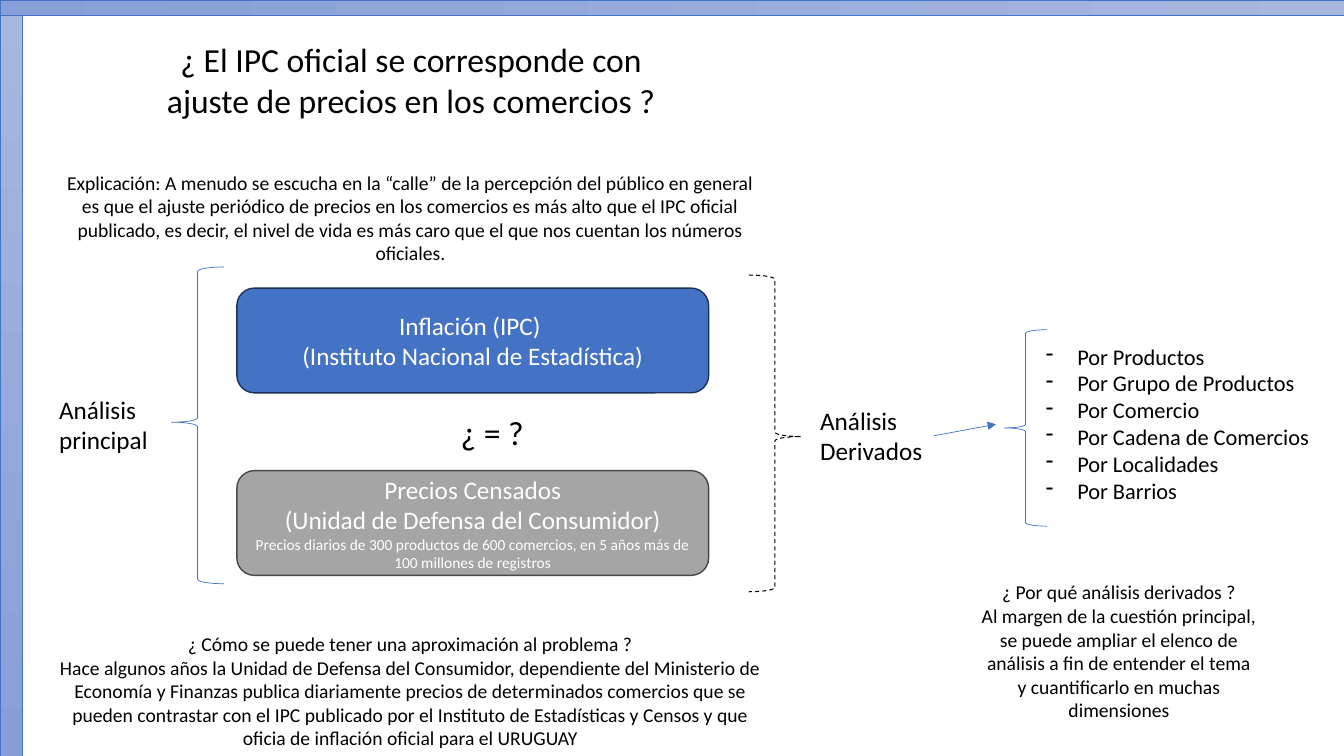
from dataclasses import dataclass

from lxml import etree
from pptx import Presentation
from pptx import util as u
from pptx.dml.color import RGBColor
from pptx.enum import dml, shapes, text
from pptx.oxml.ns import qn

BLUE = RGBColor(0x44, 0x72, 0xC4)
NAVY = RGBColor(0x1E, 0x32, 0x56)
GRAY = RGBColor(0xA5, 0xA5, 0xA5)
DARK_GRAY = RGBColor(0x48, 0x48, 0x48)
BLACK = RGBColor(0, 0, 0)
WHITE = RGBColor(0xFF, 0xFF, 0xFF)
BAR_LIGHT = RGBColor(0xA8, 0xB7, 0xDF)
BAR_DARK = RGBColor(0x88, 0x9E, 0xD7)

SLIDE_W, SLIDE_H = 33.87, 19.05
LEFT = text.PP_ALIGN.LEFT
CENTER = text.PP_ALIGN.CENTER


@dataclass(frozen=True)
class Area:
    left: float
    top: float
    width: float
    height: float

    def lengths(self) -> list[u.Length]:
        return [u.Cm(v) for v in (self.left, self.top, self.width, self.height)]


@dataclass(frozen=True)
class Passage:
    area: Area
    paragraphs: tuple[str, ...]
    size: float
    align: text.PP_ALIGN = CENTER
    wrap: bool = True
    bullet: str = ""


@dataclass(frozen=True)
class Source:
    top: float
    paragraphs: tuple[str, ...]
    fill: RGBColor
    border: RGBColor


@dataclass(frozen=True)
class Brace:
    area: Area
    tip: float = 0.5
    color: RGBColor = BLUE
    weight: float = 0.5
    rotation: float = 0
    dash: dml.MSO_LINE | None = None


@dataclass(frozen=True)
class Bar:
    area: Area
    rotation: float = 0


TITLE = Passage(Area(3.68, 0.86, 13.36, 2.31), (
    "¿ El IPC oficial se corresponde con ajuste de precios en los comercios ?",), 24)

MAIN_ANALYSIS = Passage(Area(1.24, 9.8, 2.92, 1.8), ("Análisis principal",), 18, LEFT)
DERIVED_ANALYSIS = Passage(Area(20.42, 10.08, 3.12, 1.8), ("Análisis Derivados",), 18, LEFT)

PASSAGES = (
    Passage(Area(11.35, 10.26, 2.11, 1.27), ("¿ = ?",), 24, wrap=False),
    MAIN_ANALYSIS,
    Passage(Area(26.11, 8.51, 7.77, 4.37), (
        "Por Productos", "Por Grupo de Productos", "Por Comercio",
        "Por Cadena de Comercios", "Por Localidades", "Por Barrios",
    ), 16, LEFT, bullet="-"),
    Passage(Area(1.19, 4.17, 18.31, 2.64), (
        "Explicación: A menudo se escucha en la “calle” de la percepción del público en "
        "general es que el ajuste periódico de precios en los comercios es más alto que "
        "el IPC oficial publicado, es decir, el nivel de vida es más caro que el que nos "
        "cuentan los números oficiales.",), 14),
    Passage(Area(1.19, 15.8, 18.31, 3.25), (
        "¿ Cómo se puede tener una aproximación al problema ?",
        "Hace algunos años la Unidad de Defensa del Consumidor, dependiente del "
        "Ministerio de Economía y Finanzas publica diariamente precios de determinados "
        "comercios que se pueden contrastar con el IPC publicado por el Instituto de "
        "Estadísticas y Censos y que oficia de inflación oficial para el URUGUAY"), 14),
    Passage(Area(24.49, 14.5, 7.42, 3.84), (
        "¿ Por qué análisis derivados ?\vAl margen de la cuestión principal, se puede "
        "ampliar el elenco de análisis a fin de entender el tema y cuantificarlo en "
        "muchas dimensiones",), 14),
)

SOURCES = (
    Source(7.26, ("Inflación (IPC) ", "(Instituto Nacional de Estadística)"), BLUE, NAVY),
    Source(11.86, (
        "Precios Censados",
        "(Unidad de Defensa del Consumidor)\vPrecios diarios de 300 productos de 600 "
        "comercios, en 5 años más de 100 millones de registros"), GRAY, DARK_GRAY),
)

BRACES = (
    Brace(Area(4.32, 6.73, 1.32, 7.98), 0.49),
    Brace(Area(18.87, 6.93, 1.32, 7.98), 0.49, BLACK, 0.75, 180, dml.MSO_LINE.DASH),
    Brace(Area(25.3, 8.31, 1.09, 4.95)),
)

SIDE_BAR, TOP_BAR = 0.56, 0.39
BARS = (
    Bar(Area(0, 0, SIDE_BAR, SLIDE_H)),
    Bar(Area((SLIDE_W - TOP_BAR) / 2, (TOP_BAR - SLIDE_W) / 2, TOP_BAR, SLIDE_W), 90),
)


def apply(target, formats: dict) -> None:
    for name, value in formats.items():
        setattr(target, name, value)


def write(frame, paragraphs: tuple[str, ...], size: float, color: RGBColor,
          align: text.PP_ALIGN) -> None:
    for index, words in enumerate(paragraphs):
        paragraph = frame.add_paragraph() if index else frame.paragraphs[0]
        paragraph.text = words
        paragraph.alignment = align
        for run in paragraph.runs:
            apply(run.font, {"name": "Calibri", "size": u.Pt(size)})
            run.font.color.rgb = color


def fill_passage(holder, passage: Passage) -> None:
    frame = holder.text_frame
    write(frame, passage.paragraphs, passage.size, BLACK, passage.align)
    apply(frame, {"word_wrap": passage.wrap, "vertical_anchor": text.MSO_ANCHOR.TOP,
                  "auto_size": text.MSO_AUTO_SIZE.SHAPE_TO_FIT_TEXT})
    apply(holder, dict(zip(("left", "top", "width", "height"), passage.area.lengths())))
    if passage.bullet:
        for paragraph in frame.paragraphs:
            properties = paragraph._p.get_or_add_pPr()
            properties.set("marL", str(u.Cm(0.79)))
            properties.set("indent", str(u.Cm(-0.79)))
            etree.SubElement(properties, qn("a:buChar"), char=passage.bullet)


def add_outlined(slide, kind: shapes.MSO_SHAPE, area: Area, color: RGBColor,
                 weight: float, rotation: float = 0):
    shape = slide.shapes.add_shape(kind, *area.lengths())
    shape.shadow.inherit = False
    shape.rotation = rotation
    shape.line.color.rgb = color
    shape.line.width = u.Pt(weight)
    return shape


def add_source(slide, source: Source) -> None:
    box = add_outlined(slide, shapes.MSO_SHAPE.ROUNDED_RECTANGLE,
                       Area(5.97, source.top, 11.89, 2.64), source.border, 1)
    box.fill.solid()
    box.fill.fore_color.rgb = source.fill
    frame = box.text_frame
    apply(frame, {"word_wrap": True, "vertical_anchor": text.MSO_ANCHOR.MIDDLE})
    write(frame, source.paragraphs, 18, WHITE, CENTER)
    for paragraph in frame.paragraphs:
        for detail in paragraph.runs[1:]:
            detail.font.size = u.Pt(11)


def add_brace(slide, brace: Brace) -> None:
    shape = add_outlined(slide, shapes.MSO_SHAPE.LEFT_BRACE, brace.area,
                         brace.color, brace.weight, brace.rotation)
    shape.fill.background()
    shape.adjustments[1] = brace.tip
    if brace.dash:
        shape.line.dash_style = brace.dash


def add_bar(slide, bar: Bar) -> None:
    shape = add_outlined(slide, shapes.MSO_SHAPE.RECTANGLE, bar.area, BLUE, 0.5, bar.rotation)
    shape.fill.gradient()
    shape.fill.gradient_angle = 270
    for stop, color in zip(shape.fill.gradient_stops, (BAR_LIGHT, BAR_DARK)):
        stop.color.rgb = color


def add_arrow(slide, start_box) -> None:
    arrow = slide.shapes.add_connector(
        shapes.MSO_CONNECTOR.STRAIGHT, u.Cm(23.55), u.Cm(10.92), u.Cm(25.1), u.Cm(10.69))
    arrow.begin_connect(start_box, 3)
    arrow.line.color.rgb = BLUE
    arrow.line.width = u.Pt(0.5)
    etree.SubElement(arrow.line._get_or_add_ln(), qn("a:tailEnd"), type="triangle")
    etree.SubElement(arrow._element.spPr, qn("a:effectLst"))


def main() -> None:
    deck = Presentation()
    apply(deck, {"slide_width": u.Cm(SLIDE_W), "slide_height": u.Cm(SLIDE_H)})
    slide = deck.slides.add_slide(deck.slide_layouts.get_by_name("Title Only"))
    fill_passage(slide.shapes.title, TITLE)
    for source in SOURCES:
        add_source(slide, source)
    for brace in BRACES:
        add_brace(slide, brace)
    for passage in PASSAGES:
        fill_passage(slide.shapes.add_textbox(*passage.area.lengths()), passage)
    derived = slide.shapes.add_textbox(*DERIVED_ANALYSIS.area.lengths())
    fill_passage(derived, DERIVED_ANALYSIS)
    add_arrow(slide, derived)
    for bar in BARS:
        add_bar(slide, bar)
    deck.save("out.pptx")


if __name__ == "__main__":
    main()
